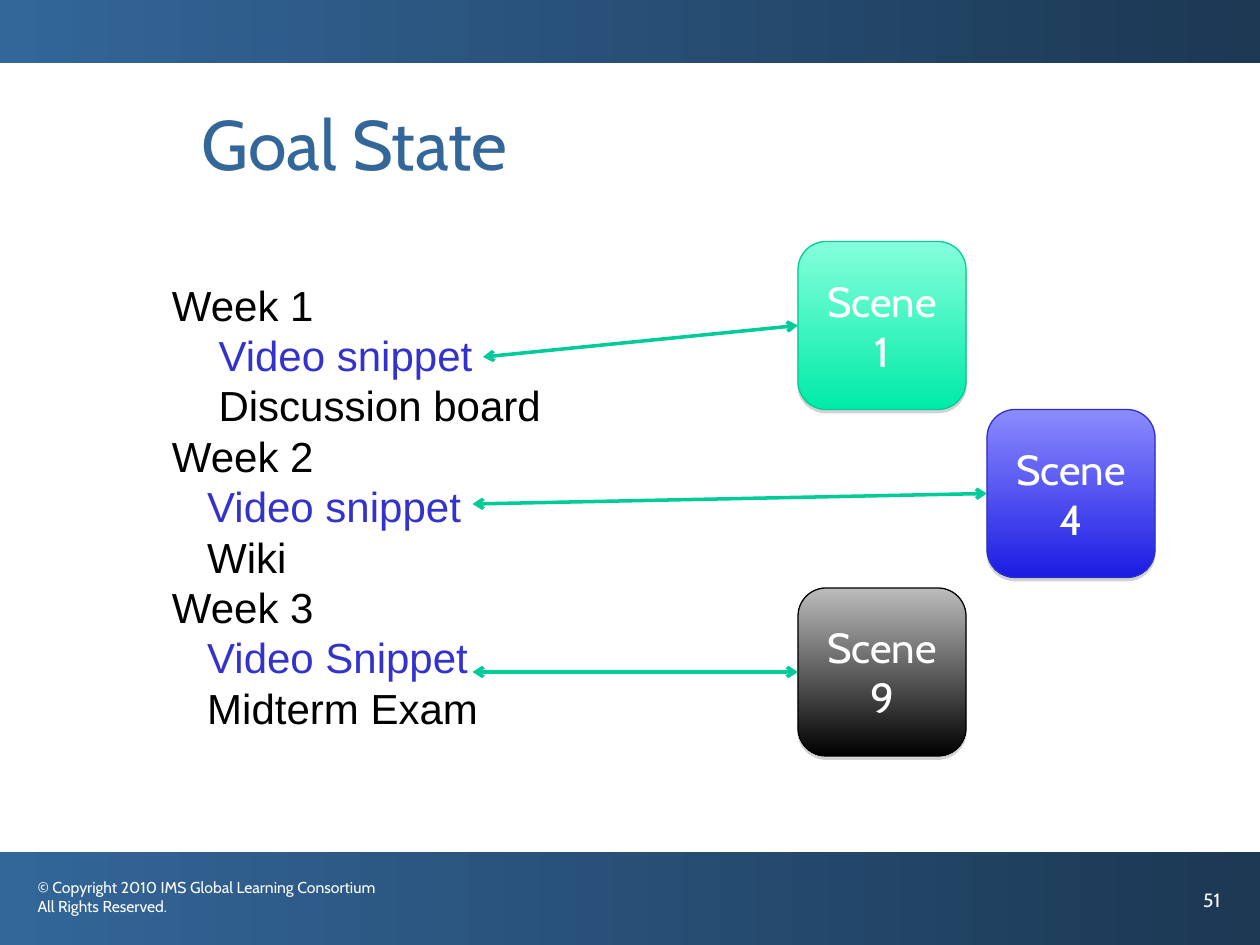
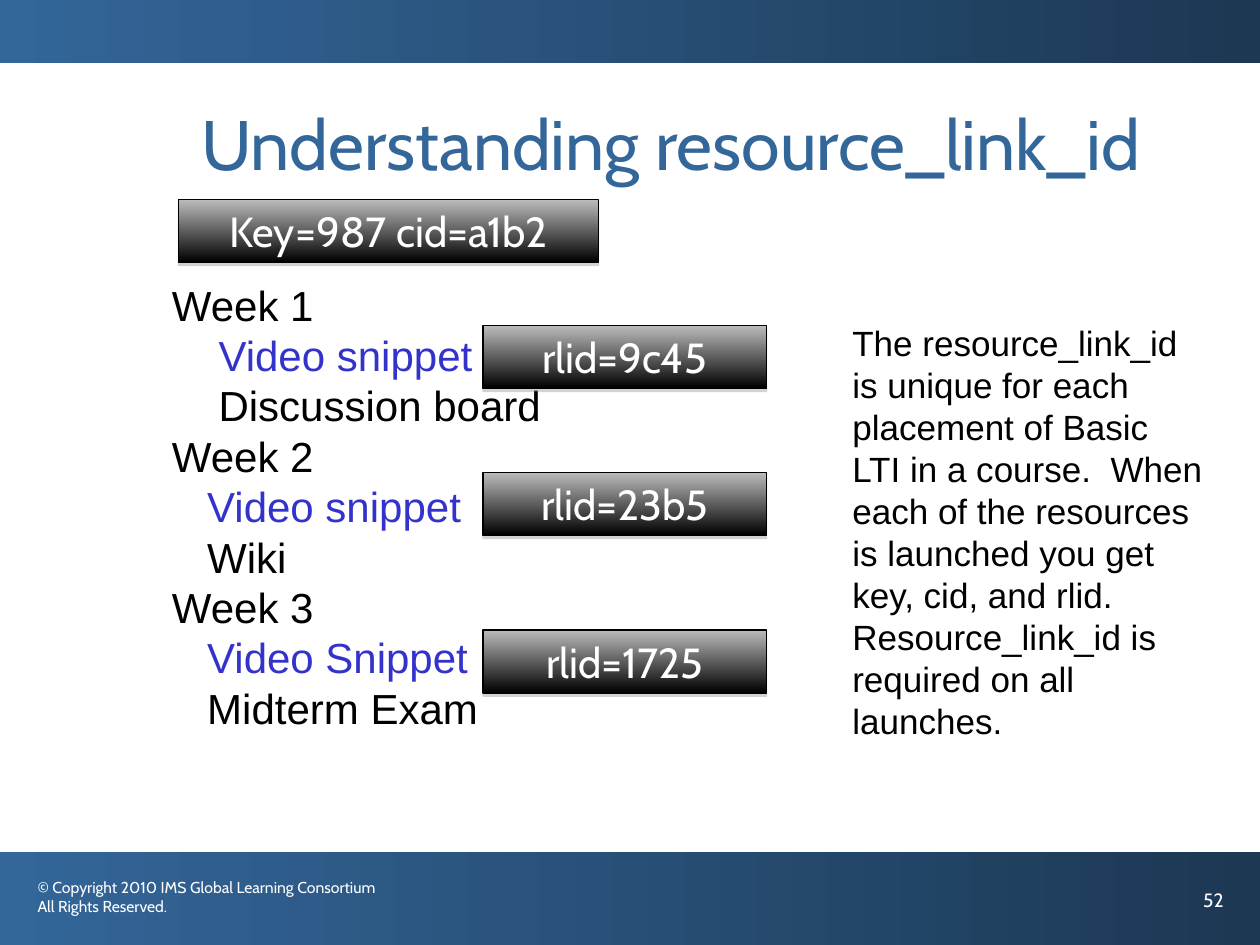
"""Builds two course-link slides on a grid of twelve columns and rows to the inch."""
from lxml import etree
from pptx import Presentation
from pptx.dml.color import RGBColor
from pptx.enum.shapes import MSO_CONNECTOR, MSO_SHAPE
from pptx.enum.text import MSO_ANCHOR, PP_ALIGN
from pptx.oxml.ns import qn
from pptx.util import Inches, Pt

RECTANGLE = MSO_SHAPE.RECTANGLE
ROUNDED = MSO_SHAPE.ROUNDED_RECTANGLE
STRAIGHT = MSO_CONNECTOR.STRAIGHT
MIDDLE = MSO_ANCHOR.MIDDLE
LEFT, CENTER = PP_ALIGN.LEFT, PP_ALIGN.CENTER

COLUMNS, ROWS = 120, 90
HEADING_FONT, BODY_FONT = "Cabin", "Arial"
COLORS = {
    "title": "336699", "band_end": "1C3853", "white": "FFFFFF", "black": "000000",
    "snippet": "3333CC", "arrow": "00CC99", "shadow": "808080",
}
BOX_STYLES = {
    "green": ("85FFDB", "00EBA8", "00CC98"),
    "blue": ("8B8BFF", "1C1CE3", "2E2ECB"),
    "black": ("BCBCBC", "000000", "000000"),
}

BANDS = [(0, 0, COLUMNS, 6), (0, 81.12, COLUMNS, ROWS - 81.12)]
TITLE_AREA = (18, 9, 99, 14)
COPYRIGHT_AREA = (2.4, 83, 37.6, 6)
NUMBER_AREA = (113.4, 84, 6.6, 6)
OUTLINE_AREA = (15.2, 26, 38.4, 44.4)
NOTE_AREA = (80, 30, 36, 41.3)
KEY_AREA = (17, 19, 40, 6)
SCENE_SIZE = (16, 16)
LINK_SIZE = (27, 6)
LINK_COLUMN = 46

COPYRIGHT = ["© Copyright 2010 IMS Global Learning Consortium", "All Rights Reserved."]
WEEKS = [
    ("Week 1", 0.37, ["Video snippet", "Discussion board"]),
    ("Week 2", 0.28, ["Video snippet", "Wiki"]),
    ("Week 3", 0.28, ["Video Snippet", "Midterm Exam"]),
]
SCENES = [
    ("1", "green", (76, 23), (46, 34)),
    ("4", "blue", (94, 39), (45, 48)),
    ("9", "black", (76, 56), (45, 64)),
]
KEY = "Key=987 cid=a1b2"
LINKS = [("rlid=9c45", 31), ("rlid=23b5", 45), ("rlid=1725", 60)]
NOTE = ("The resource_link_id is unique for each placement of Basic LTI in a course.  "
        "When each of the resources is launched you get key, cid, and rlid.  "
        "Resource_link_id is required on all launches.")


def grid(*units):
    return [Inches(unit / 12) for unit in units]


def rgb(name):
    return RGBColor.from_string(COLORS.get(name, name))


def write(shape, lines, size, color, font=HEADING_FONT, align=LEFT):
    frame = shape.text_frame
    frame.word_wrap = True
    for index, line in enumerate(lines):
        text, indent, line_color = line if isinstance(line, tuple) else (line, 0, color)
        paragraph = frame.paragraphs[0] if index == 0 else frame.add_paragraph()
        paragraph.alignment = align
        if indent:
            paragraph._p.get_or_add_pPr().set("marL", str(Inches(indent)))
        run = paragraph.add_run()
        run.text = text
        run.font.name = font
        run.font.size = Pt(size)
        run.font.color.rgb = rgb(line_color)


def add_text(slide, area, lines, size, color, font=HEADING_FONT):
    write(slide.shapes.add_textbox(*grid(*area)), lines, size, color, font)


def add_gradient_shape(slide, kind, area, start, end, angle):
    shape = slide.shapes.add_shape(kind, *grid(*area))
    shape.shadow.inherit = False
    shape.fill.gradient()
    shape.fill.gradient_angle = angle
    for stop, color in zip(shape.fill.gradient_stops, (start, end)):
        stop.color.rgb = rgb(color)
    return shape


def add_box(slide, kind, area, lines, style):
    start, end, outline = BOX_STYLES[style]
    box = add_gradient_shape(slide, kind, area, start, end, 270)
    box.line.color.rgb = rgb(outline)
    box.line.width = Pt(0.75)
    effects = box.element.spPr.find(qn("a:effectLst"))
    shadow = etree.SubElement(effects, qn("a:outerShdw"), blurRad="0",
                              dist=str(Pt(1.8)), dir="5400000", rotWithShape="0")
    color = etree.SubElement(shadow, qn("a:srgbClr"), val=COLORS["shadow"])
    etree.SubElement(color, qn("a:alpha"), val="35000")
    box.text_frame.vertical_anchor = MIDDLE
    write(box, lines, 24, "white", align=CENTER)
    return box


def add_arrow(slide, start, box):
    connector = slide.shapes.add_connector(STRAIGHT, *grid(*start, *start))
    connector.end_connect(box, 1)
    connector.line.color.rgb = rgb("arrow")
    connector.line.width = Pt(2)
    for tag in ("a:headEnd", "a:tailEnd"):
        etree.SubElement(connector.get_or_add_ln(), qn(tag), type="arrow")
    etree.SubElement(connector.element.spPr, qn("a:effectLst"))


def outline_lines():
    for week, indent, (snippet, activity) in WEEKS:
        yield week, 0, "black"
        yield snippet, indent, "snippet"
        yield activity, indent, "black"


def add_course_slide(presentation, title, number):
    slide = presentation.slides.add_slide(presentation.slide_layouts[6])
    for area in BANDS:
        band = add_gradient_shape(slide, RECTANGLE, area, "title", "band_end", 0)
        band.line.fill.background()
    add_text(slide, COPYRIGHT_AREA, COPYRIGHT, 9, "white")
    add_text(slide, NUMBER_AREA, [str(number)], 11, "white")
    add_text(slide, TITLE_AREA, [title], 40, "title")
    add_text(slide, OUTLINE_AREA, outline_lines(), 24, "black", BODY_FONT)
    return slide


def main():
    presentation = Presentation()
    presentation.slide_width, presentation.slide_height = grid(COLUMNS, ROWS)

    goal = add_course_slide(presentation, "Goal State", 51)
    for scene, style, corner, arrow_start in SCENES:
        box = add_box(goal, ROUNDED, corner + SCENE_SIZE, ["Scene", scene], style)
        add_arrow(goal, arrow_start, box)

    links = add_course_slide(presentation, "Understanding resource_link_id", 52)
    add_box(links, RECTANGLE, KEY_AREA, [KEY], "black")
    for link, row in LINKS:
        add_box(links, RECTANGLE, (LINK_COLUMN, row) + LINK_SIZE, [link], "black")
    add_text(links, NOTE_AREA, [NOTE], 20, "black", BODY_FONT)

    presentation.save("out.pptx")


if __name__ == "__main__":
    main()
